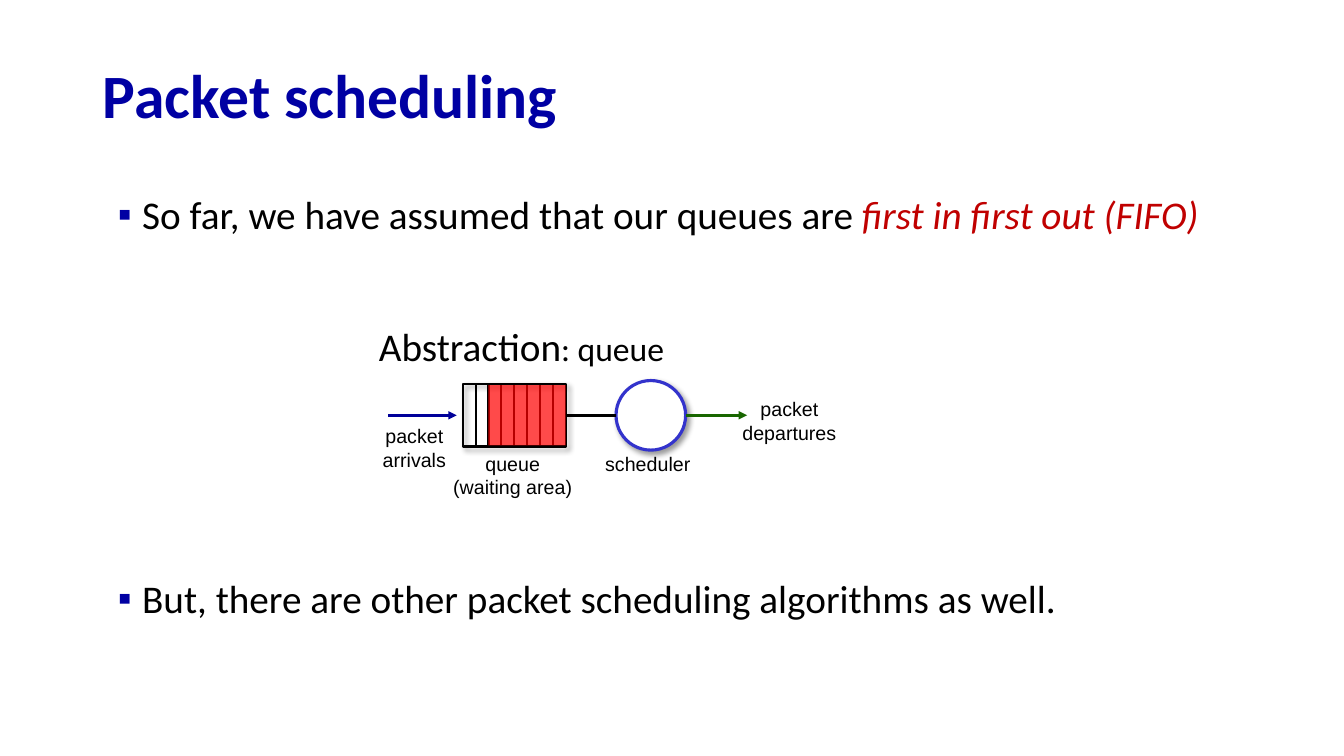
from lxml import etree
from pptx import Presentation
from pptx.dml.color import RGBColor
from pptx.enum.shapes import MSO_CONNECTOR, MSO_SHAPE
from pptx.enum.text import MSO_ANCHOR, MSO_AUTO_SIZE, PP_ALIGN
from pptx.oxml import parse_xml
from pptx.oxml.ns import nsdecls, qn
from pptx.util import Inches, Pt

NAVY, BLACK, CRIMSON = "0000A3", "000000", "C00000"
TITLE = {"size": Pt(44), "name": "Calibri", "bold": True}
BODY = {"size": Pt(28), "name": "Calibri"}
EMPHASIS = {**BODY, "italic": True}
HEADING_DETAIL = {"size": Pt(24), "name": "Calibri"}
LABEL = {"size": Pt(14), "name": "Arial"}


def rgb(color):
    return RGBColor.from_string(color)


def place(shape, box):
    for side, length in zip(("left", "top", "width", "height"), box):
        setattr(shape, side, Inches(length))


def add_run(paragraph, text, font_format, color=BLACK):
    run = paragraph.add_run()
    run.text = text
    for key, value in font_format.items():
        setattr(run.font, key, value)
    run.font.color.rgb = rgb(color)


def outline(shape, color, width):
    shape.line.color.rgb = rgb(color)
    shape.line.width = Pt(width)


def add_effect(parent, tag):
    return etree.SubElement(parent, qn(tag))


# Drawing parts
def add_shape(slide, kind, box, fill=None, alpha=None):
    shape = slide.shapes.add_shape(kind, *map(Inches, box))
    shape.shadow.inherit = False
    if fill is None:
        shape.fill.background()
    else:
        shape.fill.solid()
        shape.fill.fore_color.rgb = rgb(fill)
    if alpha:
        color = shape.fill._xPr.find(".//" + qn("a:srgbClr"))
        add_effect(color, "a:alpha").set("val", str(alpha * 1000))
    return shape


def cast_shadow(shape):
    effects = shape._element.spPr.find(qn("a:effectLst"))
    effects.append(parse_xml(
        f'<a:outerShdw {nsdecls("a")} blurRad="{Pt(4)}" dist="{Pt(3)}" dir="2700000" '
        f'rotWithShape="0"><a:srgbClr val="{BLACK}"><a:alpha val="40000"/>'
        '</a:srgbClr></a:outerShdw>'))


def add_line(slide, start, end, color=BLACK, width=2.0, arrow=False):
    line = slide.shapes.add_connector(
        MSO_CONNECTOR.STRAIGHT, *map(Inches, (*start, *end)))
    outline(line, color, width)
    if arrow:
        add_effect(line.line._get_or_add_ln(), "a:tailEnd").set("type", "triangle")
    add_effect(line._element.spPr, "a:effectLst")


def add_text(slide, box):
    text_box = slide.shapes.add_textbox(*map(Inches, box))
    text_box.text_frame.word_wrap = False
    return text_box.text_frame


def add_label(slide, box, *lines):
    frame = add_text(slide, box)
    for number, line in enumerate(lines):
        paragraph = frame.add_paragraph() if number else frame.paragraphs[0]
        paragraph.alignment = PP_ALIGN.CENTER
        add_run(paragraph, line, LABEL)


# Title
def write_title(title, box):
    place(title, box)
    frame = title.text_frame
    settings = {"vertical_anchor": MSO_ANCHOR.MIDDLE, "auto_size": MSO_AUTO_SIZE.NONE}
    for key, value in settings.items():
        setattr(frame, key, value)
    paragraph = frame.paragraphs[0]
    for key, value in {"alignment": PP_ALIGN.LEFT, "line_spacing": 0.9}.items():
        setattr(paragraph, key, value)
    add_run(paragraph, "Packet scheduling", TITLE, NAVY)


# Bulleted statements
def write_bullet(body, box, *runs):
    place(body, box)
    body.text_frame.auto_size = MSO_AUTO_SIZE.NONE
    paragraph = body.text_frame.paragraphs[0]
    for key, value in {"line_spacing": 0.9, "space_before": Pt(10)}.items():
        setattr(paragraph, key, value)
    properties = paragraph._p.get_or_add_pPr()
    properties.set("marL", str(Inches(0.39)))
    properties.set("indent", str(Inches(-0.24)))
    for xml in (f'<a:buClr {nsdecls("a")}><a:srgbClr val="{NAVY}"/></a:buClr>',
                f'<a:buFont {nsdecls("a")} typeface="Arial"/>',
                f'<a:buChar {nsdecls("a")} char="▪"/>'):
        properties.append(parse_xml(xml))
    for run in runs:
        add_run(paragraph, *run)


# Queue: eight slots, the last six holding packets
def draw_queue(slide, box, slots=8, free=2):
    left, top, width, height = box
    slot = width / slots
    frame = add_shape(slide, MSO_SHAPE.RECTANGLE, box)
    outline(frame, BLACK, 1.5)
    cast_shadow(frame)
    for number in range(1, slots):
        x = left + number * slot
        add_line(slide, (x, top), (x, top + height), width=1.5)
    packets = add_shape(
        slide, MSO_SHAPE.RECTANGLE,
        (left + free * slot, top + 0.01, width - free * slot, height - 0.02),
        "FF0000", alpha=71)
    packets.line.fill.background()


# Queue abstraction: arrivals, queue, scheduler, departures
def draw_abstraction(slide, box):
    left, top, width, height = box
    middle = top + 0.97
    queue = (left + 0.93, middle - 0.31, 1.02, 0.62)
    queue_end = queue[0] + queue[2]
    diameter = 0.69
    scheduler_left = left + 2.45
    scheduler_right = scheduler_left + diameter

    heading = add_text(slide, (left, top, 3.07, 0.57)).paragraphs[0]
    add_run(heading, "Abstraction", BODY)
    add_run(heading, ": queue", HEADING_DETAIL)

    draw_queue(slide, queue)
    scheduler = add_shape(
        slide, MSO_SHAPE.OVAL,
        (scheduler_left, middle - diameter / 2, diameter, diameter), "FFFFFF")
    outline(scheduler, "3333CC", 2.25)
    cast_shadow(scheduler)

    add_line(slide, (left + 0.19, middle), (left + 0.87, middle), "000099", arrow=True)
    add_line(slide, (queue_end, middle), (scheduler_left, middle))
    add_line(slide, (scheduler_right, middle), (left + 3.75, middle), "186600", arrow=True)

    below = top + 1.28
    add_label(slide, (left + 0.73, below, 1.39, 0.57), "queue", "(waiting area)")
    add_label(slide, (left + 0.03, top + 1.01, 0.84, 0.57), "packet", "arrivals")
    add_label(slide, (left + width - 1.14, top + 0.74, 1.14, 0.57), "packet", "departures")
    add_label(slide, (left + 2.24, below, 1.05, 0.34), "scheduler")


def main():
    deck = Presentation()
    deck.slide_width, deck.slide_height = Inches(13.33), Inches(7.5)
    slide = deck.slides.add_slide(deck.slide_layouts[3])
    title, assumption, alternative = slide.placeholders
    write_title(title, (0.92, 0.49, 11.5, 0.98))
    write_bullet(assumption, (0.92, 1.89, 11.5, 0.92),
                 ("So far, we have assumed that our queues are ", BODY),
                 ("first in first out (FIFO)", EMPHASIS, CRIMSON))
    draw_abstraction(slide, (3.66, 3.15, 4.74, 1.85))
    write_bullet(alternative, (0.92, 5.7, 11.5, 0.92),
                 ("But, there are other packet scheduling algorithms as well.", BODY))
    deck.save("out.pptx")


if __name__ == "__main__":
    main()
